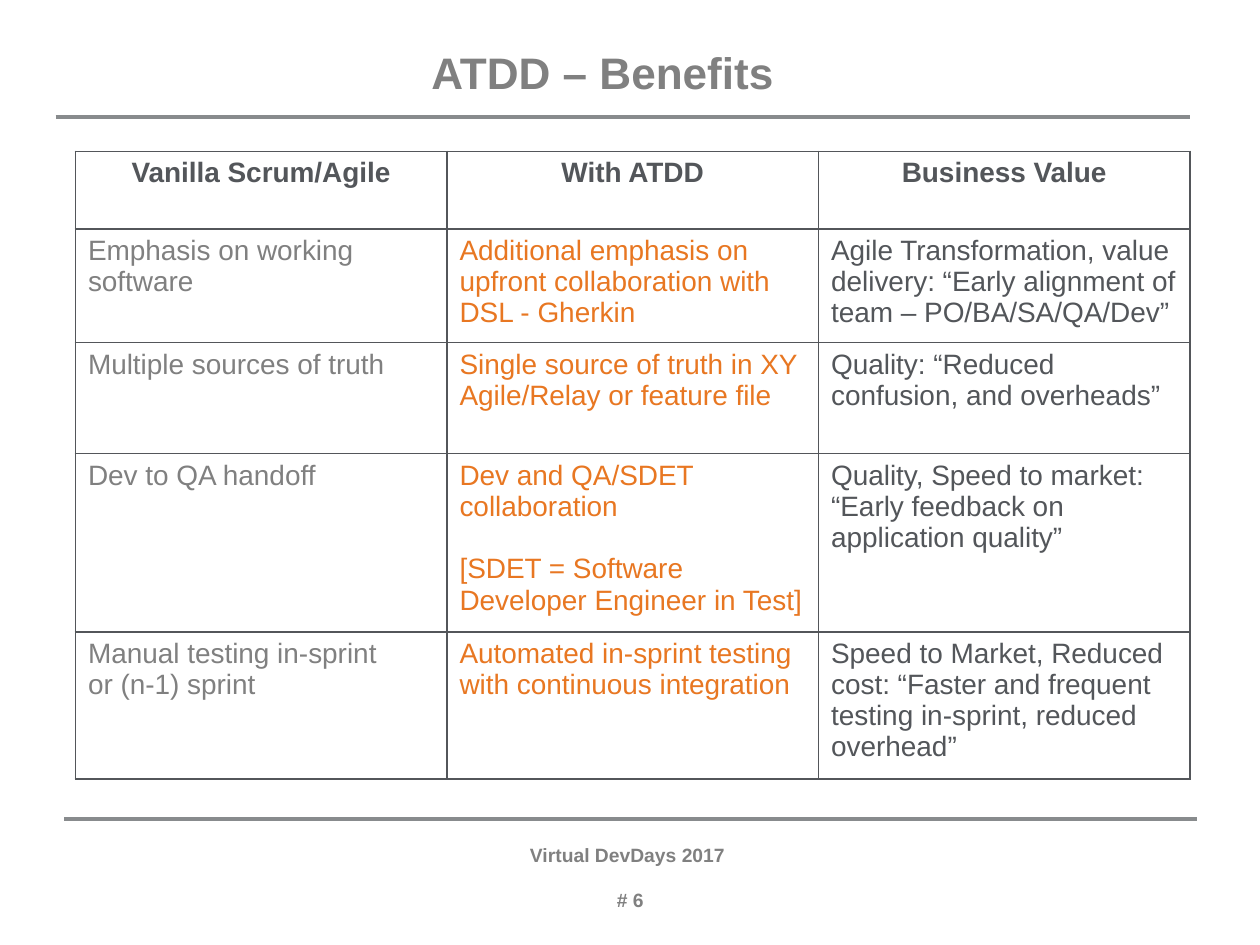
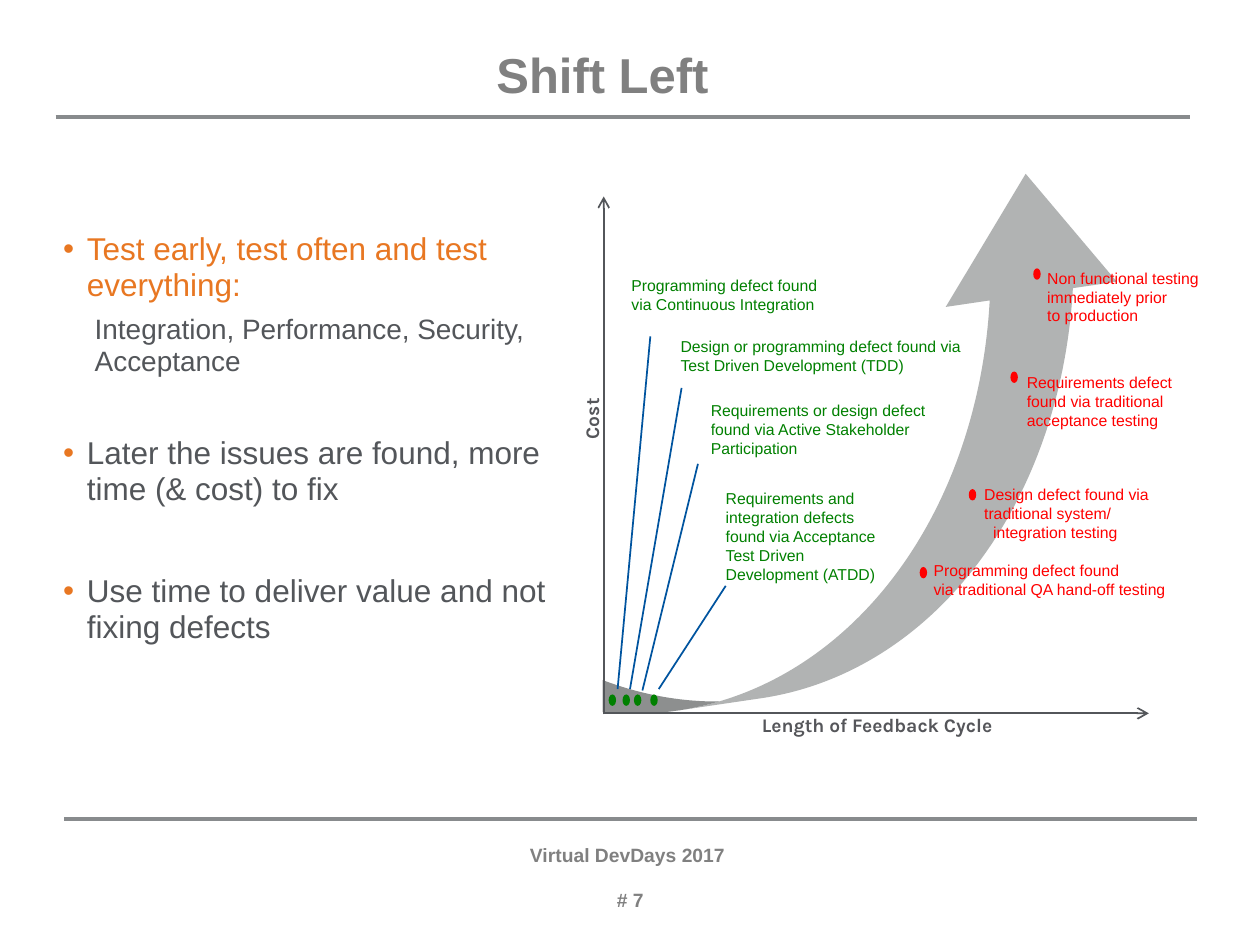
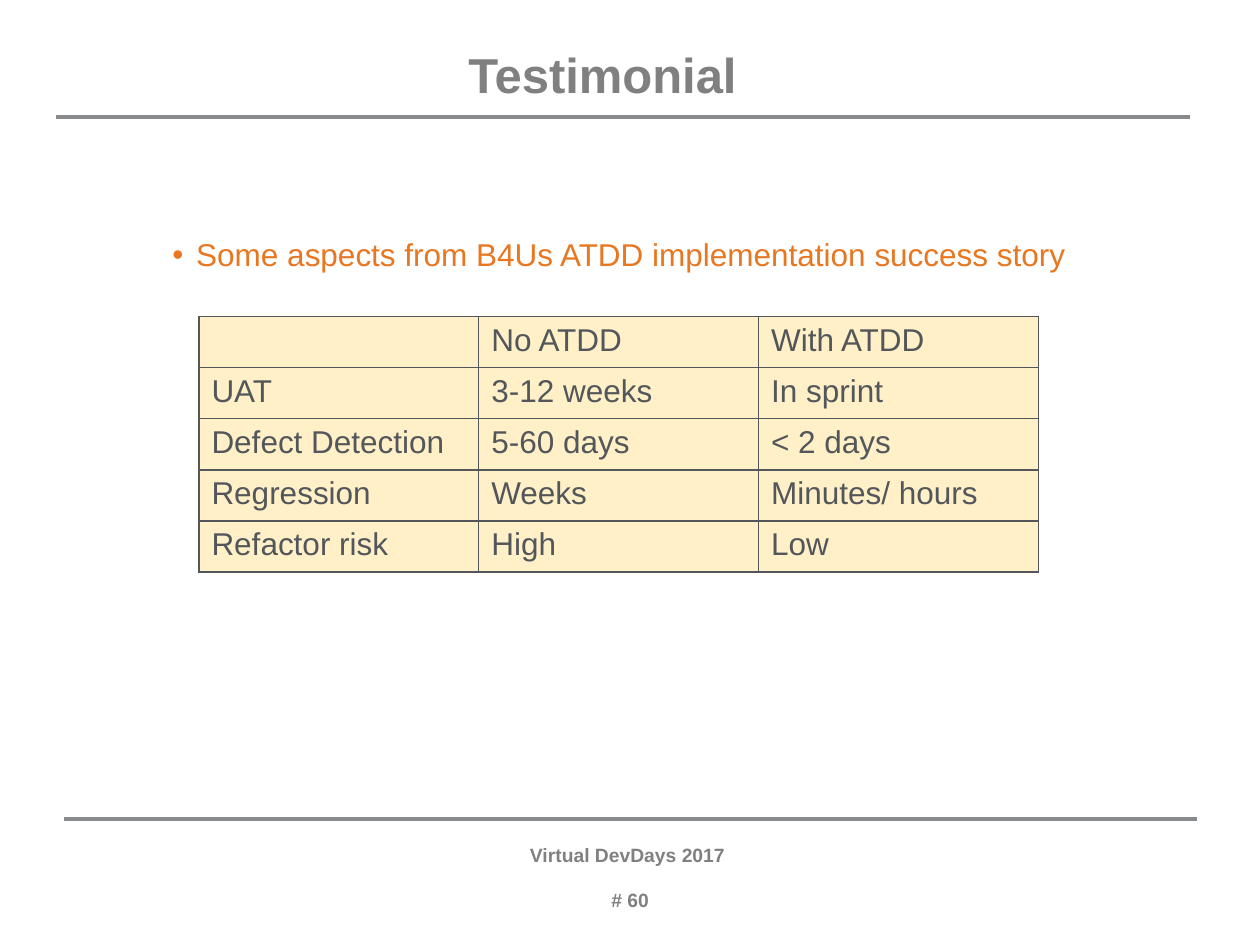
from lxml.etree import SubElement
from pptx import Presentation
from pptx.dml.color import RGBColor
from pptx.enum.shapes import MSO_CONNECTOR as LINE, MSO_SHAPE as SHAPE
from pptx.enum.text import MSO_ANCHOR as ANCHOR, MSO_AUTO_SIZE as FIT, PP_ALIGN as ALIGN
from pptx.oxml.ns import qn
from pptx.util import Cm, Pt

GRAY, DARK, ORANGE, RULE = "808080", "53565A", "E87722", "888B8D"
GREEN, RED, BLUE, CREAM = "008000", "FF0000", "00549F", "FFF0C8"
ARROW, WHITE, AXIS = "B1B3B3", "FFFFFF", "55565A"

TITLE_BOX = (1.35, 0.91, 21.59, 0.97)
FOOTER_BOX = (10.19, 16.99, 5.03, 1.55)
RULES = [(1.3, 16.51, 24.13, 16.51), (1.12, 2.36, 23.98, 2.36)]

BENEFITS = [
    ["Vanilla Scrum/Agile", "With ATDD", "Business Value"],
    ["Emphasis on working software",
     "Additional emphasis on upfront collaboration with DSL - Gherkin",
     "Agile Transformation, value delivery: “Early alignment of team – PO/BA/SA/QA/Dev”"],
    ["Multiple sources of truth",
     "Single source of truth in XY Agile/Relay or feature file",
     "Quality: “Reduced confusion, and overheads”"],
    ["Dev to QA handoff",
     ["Dev and QA/SDET collaboration",
      ("[SDET = Software Developer Engineer in Test]", {"before": 18})],
     "Quality, Speed to market: “Early feedback on application quality”"],
    ["" "Manual testing in-sprint\nor (n-1) sprint",
     "Automated in-sprint testing with continuous integration",
     "Speed to Market, Reduced cost: “Faster and frequent testing in-sprint, reduced overhead”"],
]
BENEFIT_ROWS = [1.57, 2.24, 2.24, 3.58, 2.9]
BENEFIT_COLORS = [GRAY, ORANGE, DARK]

SHIFT_POINTS = [
    ("Test early, test often and test everything:", {"color": ORANGE}),
    ("Integration, Performance, Security, Acceptance",
     {"size": 16, "level": 1, "bullet": False, "left": 0.64, "before": 3}),
    ("Later the issues are found, more time (& cost) to fix", {"before": 30}),
    ("Use time to deliver value and not fixing defects", {"before": 35}),
]
AXES = [(12.17, 14.38, 23.16, 14.38), (12.17, 14.4, 12.17, 3.96)]
AXIS_LABELS = [("Length of Feedback Cycle", (14.33, 14.5, 6.71, 0.36), 0),
               ("Cost", (11.1, 8.26, 1.8, 0.36), 270)]
POINTERS = [(13.11, 6.78, 12.45, 13.89), (13.74, 7.82, 12.7, 13.89),
            (14.07, 9.35, 12.95, 13.92), (14.63, 11.81, 13.28, 13.89)]
DOTS = {GREEN: [(12.27, 14), (12.55, 14), (12.78, 14), (13.11, 14)],
        RED: [(18.54, 11.43), (19.53, 9.86), (20.37, 7.49), (20.83, 5.41)]}
DEFECTS = {
    GREEN: [
        ((12.73, 5.56, 3.84, 1.22), "Programming defect found via Continuous Integration"),
        ((13.72, 6.78, 5.8, 1.24),
         "Design or programming defect found via\nTest Driven Development (TDD)"),
        ((14.33, 8.08, 4.5, 1.3),
         "Requirements or design defect\nfound via Active Stakeholder Participation"),
        ((14.63, 9.86, 3.43, 2.46),
         "Requirements and integration defects found via Acceptance Test Driven\n"
         "Development (ATDD)"),
    ],
    RED: [
        ((18.82, 11.3, 5.2, 1.02),
         "Programming defect found\nvia traditional QA hand-off testing"),
        ((19.84, 9.78, 4, 1.32),
         ["Design defect found via\ntraditional system/", ("integration testing", {"left": 0.18})]),
        ((21.11, 5.41, 4, 1.37), "Non functional testing\nimmediately prior\nto production"),
        ((20.7, 7.52, 4, 1.2),
         "Requirements defect\nfound via traditional\nacceptance testing"),
    ],
}

STORY = "Some aspects from B4Us ATDD implementation success story"
RESULTS = [["", "No ATDD", "With ATDD"],
           ["UAT", "3-12 weeks", "In sprint"],
           ["Defect Detection", "5-60 days", "< 2 days"],
           ["Regression", "Weeks", "Minutes/ hours"],
           ["Refactor risk", "High", "Low"]]


def rgb(color):
    """Turn a hex string into a colour."""
    return RGBColor.from_string(color)


def cms(*values):
    """Turn numbers into centimetre lengths."""
    return [Cm(v) for v in values]


def style(p, text, size=18, color=DARK, bold=False, font="Arial", align=ALIGN.LEFT,
          spacing=1.0, before=0, after=0, bullet=False, left=0, level=0):
    """Fill and format one paragraph."""
    p.text, p.level, p.alignment, p.line_spacing = text, level, align, spacing
    p.space_before, p.space_after = Pt(before), Pt(after)
    pPr = p._p.get_or_add_pPr()
    pPr.set("marL", str(Cm(left)))
    pPr.set("indent", str(-Cm(left) if bullet else 0))
    if bullet:
        SubElement(SubElement(pPr, qn("a:buClr")), qn("a:srgbClr"), val=ORANGE)
        SubElement(pPr, qn("a:buChar"), char="•")
    else:
        SubElement(pPr, qn("a:buNone"))
    for r in p.runs:
        f = r.font
        f.size, f.bold, f.name, f.color.rgb = Pt(size), bold, font, rgb(color)


def write(tf, text, **fmt):
    """Write a string, or a list of strings and (string, format) pairs."""
    tf.word_wrap = True
    for i, item in enumerate([text] if isinstance(text, str) else text):
        p = tf.add_paragraph() if i else tf.paragraphs[0]
        line, own = (item, {}) if isinstance(item, str) else item
        style(p, line, **{**fmt, **own, **({} if i else {"before": 0})})


def fill_placeholder(sp, box, text, **fmt):
    """Move a placeholder and write its text from the top."""
    sp.left, sp.top, sp.width, sp.height = cms(*box)
    tf = sp.text_frame
    tf.auto_size, tf.vertical_anchor = FIT.NONE, ANCHOR.TOP
    write(tf, text, **fmt)


def zero_margins(tf):
    """Remove the insets of a text frame."""
    tf.margin_left = tf.margin_top = tf.margin_right = tf.margin_bottom = 0


def add_text(s, box, text, rotation=0, **fmt):
    """Add a text box without insets."""
    sp = s.shapes.add_textbox(*cms(*box))
    sp.rotation = rotation
    zero_margins(sp.text_frame)
    write(sp.text_frame, text, **fmt)


def add_line(s, ends, color, width=1, arrow=False):
    """Add a straight line, with an arrowhead at its end if asked."""
    c = s.shapes.add_connector(LINE.STRAIGHT, *cms(*ends))
    c.line.color.rgb, c.line.width = rgb(color), Pt(width)
    if arrow:
        SubElement(c.line._get_or_add_ln(), qn("a:tailEnd"), type="arrow")
    SubElement(c._element.spPr, qn("a:effectLst"))


def add_shape(s, kind, box, color):
    """Add a plain filled shape."""
    sp = s.shapes.add_shape(kind, *cms(*box))
    sp.shadow.inherit = False
    sp.fill.solid()
    sp.fill.fore_color.rgb = rgb(color)
    sp.line.fill.background()
    return sp


def add_table(s, left, top, col_width, row_heights, rows, cell_format, fill=None):
    """Add a ruled table whose text format depends on row and column."""
    n = len(rows[0])
    table = s.shapes.add_table(len(rows), n, *cms(left, top, col_width * n, sum(row_heights))).table
    table.first_row = table.horz_banding = False
    for col in table.columns:
        col.width = Cm(col_width)
    for i, row in enumerate(rows):
        table.rows[i].height = Cm(row_heights[i])
        for j, text in enumerate(row):
            cell = table.cell(i, j)
            write(cell.text_frame, text, **cell_format(i, j))
            tcPr = cell._tc.get_or_add_tcPr()
            for side in "LRTB":
                ln = SubElement(tcPr, qn(f"a:ln{side}"), w=str(Pt(1)))
                SubElement(SubElement(ln, qn("a:solidFill")), qn("a:srgbClr"), val=DARK)
            if fill:
                cell.fill.solid()
                cell.fill.fore_color.rgb = rgb(fill)
            else:
                cell.fill.background()


def add_slide(prs, layout, title, number, size=28):
    """Add a slide with the shared title, rules and footer."""
    s = prs.slides.add_slide(prs.slide_layouts[layout])
    for ends in RULES:
        add_line(s, ends, RULE, 2)
    heading = dict(color=GRAY, bold=True, align=ALIGN.CENTER)
    add_text(s, FOOTER_BOX, ["Virtual DevDays 2017 ", (f"# {number}", {"before": 13})],
             size=11, **heading)
    fill_placeholder(s.shapes.title, TITLE_BOX, title, size=size, spacing=0.9, **heading)
    return s


def benefit_format(i, j):
    """Give the format of a cell in the benefits table."""
    if i == 0:
        return dict(size=16, bold=True, align=ALIGN.CENTER)
    return dict(size=16, color=BENEFIT_COLORS[j])


def add_feedback_chart(s):
    """Draw the cost of defects against the feedback cycle."""
    sp = add_shape(s, SHAPE.CURVED_RIGHT_ARROW, (9.4, 0.38, 9.68, 17.93), ARROW)
    sp.rotation = 261.6
    for i, value in enumerate((0.175, 0.36, 0.25)):
        sp.adjustments[i] = value
    add_shape(s, SHAPE.RECTANGLE, (3.56, 2.41, 8.59, 13.21), WHITE)
    for text, box, rotation in AXIS_LABELS:
        add_text(s, box, text, rotation, size=11, font="Karla", color=AXIS, bold=True,
                 align=ALIGN.CENTER, spacing=0.7, after=6)
    for ends in POINTERS:
        add_line(s, ends, BLUE)
    for color, labels in DEFECTS.items():
        for x, y in DOTS[color]:
            add_shape(s, SHAPE.OVAL, (x, y, 0.15, 0.23), color)
        for box, text in labels:
            add_text(s, box, text, size=9, color=color)
    for ends in AXES:
        add_line(s, ends, DARK, arrow=True)


def main():
    """Build the three slides."""
    prs = Presentation()
    prs.slide_width, prs.slide_height = cms(25.4, 19.05)
    points = dict(bullet=True, left=0.48, spacing=0.95, before=6, after=3)

    s = add_slide(prs, 5, "ATDD – Benefits", 6, size=25.2)
    add_table(s, 1.52, 3.05, 7.49, BENEFIT_ROWS, BENEFITS, benefit_format)

    s = add_slide(prs, 1, "Shift Left", 7)
    add_feedback_chart(s)
    body = s.placeholders[1]
    s.shapes._spTree.append(body._element)
    zero_margins(body.text_frame)
    fill_placeholder(body, (1.27, 4.67, 9.96, 10.62), SHIFT_POINTS, **points)

    s = add_slide(prs, 1, "Testimonial", 60)
    fill_placeholder(s.placeholders[1], (1.57, 4.67, 21.82, 10.72), STORY,
                     color=ORANGE, align=ALIGN.CENTER, **points)
    add_table(s, 4.01, 6.38, 5.64, [1.03] * len(RESULTS), RESULTS, lambda i, j: {}, CREAM)

    prs.save("out.pptx")


if __name__ == "__main__":
    main()
